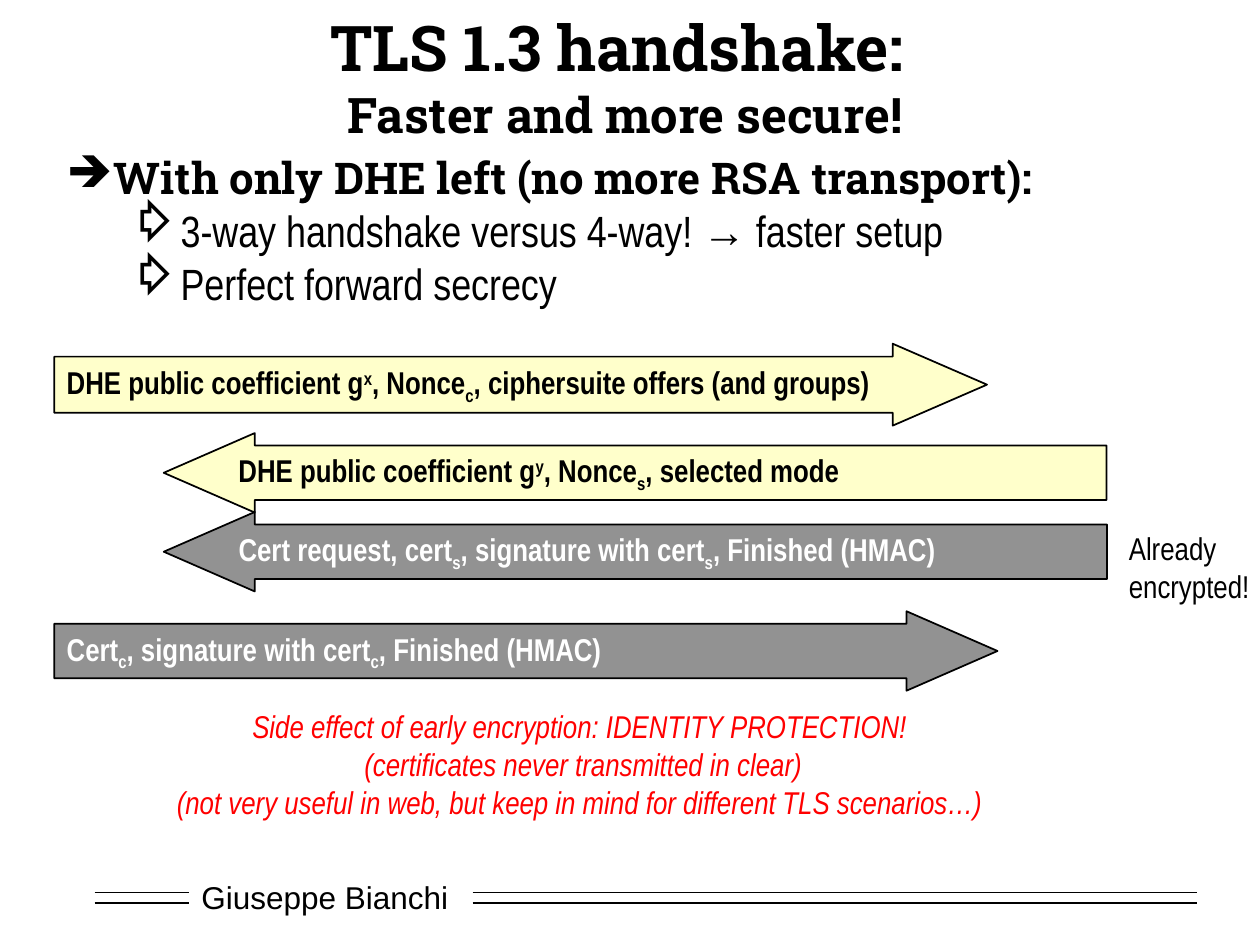
from lxml import etree
from pptx import Presentation
from pptx import util as u
from pptx.dml.color import RGBColor
from pptx.enum import shapes, text
from pptx.oxml import ns

Pt = u.Pt
SLAB, NARROW = "Roboto Slab", "Arial Narrow"
SUPER, SUB = 30000, -25000


def colour(code):
    return RGBColor.from_string(code)


def add_xml(parent, tag, **attributes):
    return etree.SubElement(parent, ns.qn(tag), attributes)


class Sheet:
    """Holds the default text style and the page being built."""

    def __init__(self, page, font=NARROW, size=18, ink="000000"):
        self.page, self.font, self.size, self.ink = page, font, size, ink

    def span(self, para, words, font=None, size=None, ink=None,
             bold=False, italic=False, baseline=0):
        span = para.add_run()
        span.text = words
        span.font.name = font or self.font
        span.font.size = Pt(size or self.size)
        span.font.color.rgb = colour(ink or self.ink)
        span.font.bold, span.font.italic = bold, italic
        if baseline:
            span.font._element.set("baseline", str(baseline))

    def frame(self, shape, wrap, middle):
        frame = shape.text_frame
        frame.word_wrap = wrap
        frame.vertical_anchor = text.MSO_ANCHOR.MIDDLE if middle else text.MSO_ANCHOR.TOP
        return frame

    def box(self, left, top, width, height, wrap=True, middle=False):
        box = self.page.shapes.add_textbox(Pt(left), Pt(top), Pt(width), Pt(height))
        return self.frame(box, wrap, middle)

    def lines(self, frame, lines, align=text.PP_ALIGN.LEFT, **style):
        for index, words in enumerate(lines):
            para = frame.add_paragraph() if index else frame.paragraphs[0]
            para.alignment = align
            self.span(para, words, **style)

    def bullet(self, para, mark, margin, hanging, before=0):
        props = para._p.get_or_add_pPr()
        props.set("marL", str(Pt(margin)))
        props.set("indent", str(-Pt(hanging)))
        add_xml(add_xml(props, "a:buClr"), "a:srgbClr", val=self.ink)
        add_xml(props, "a:buChar", char=mark)
        para.line_spacing = 0.8
        para.space_before = Pt(before)

    def rule(self, start, end, y):
        line = self.page.shapes.add_connector(
            shapes.MSO_CONNECTOR.STRAIGHT, Pt(start), Pt(y), Pt(end), Pt(y))
        line.line.color.rgb = colour(self.ink)
        line.line.width = Pt(1)
        add_xml(line._element.spPr, "a:effectLst")

    def arrow(self, left, top, width, height, fill, ink, parts, to_left=False, head=1.145):
        """Block arrow with a half-transparent fill; parts are (words, baseline) pairs."""
        arrow = self.page.shapes.add_shape(
            shapes.MSO_SHAPE.RIGHT_ARROW, Pt(left), Pt(top), Pt(width), Pt(height))
        arrow.adjustments[0], arrow.adjustments[1] = 0.685, head
        arrow.shadow.inherit = False
        arrow.fill.solid()
        arrow.fill.fore_color.rgb = colour(fill)
        add_xml(arrow._element.spPr.find(".//" + ns.qn("a:srgbClr")), "a:alpha", val="50000")
        arrow.line.color.rgb = colour(self.ink)
        arrow.line.width = Pt(1)
        if to_left:
            arrow._element.spPr.xfrm.set("flipH", "1")
        para = self.frame(arrow, False, True).paragraphs[0]
        para.alignment = text.PP_ALIGN.LEFT
        for words, baseline in parts:
            self.span(para, words, ink=ink, bold=True, baseline=baseline)


def main():
    deck = Presentation()
    deck.slide_width, deck.slide_height = Pt(720), Pt(540)
    sheet = Sheet(deck.slides.add_slide(deck.slide_layouts[6]))
    centre = text.PP_ALIGN.CENTER

    footer = sheet.box(108, 498.2, 156, 28.8, middle=True)
    sheet.lines(footer, ["Giuseppe Bianchi"], font="Arial")
    for y in (510, 516):
        sheet.rule(54, 108, y)
        sheet.rule(270, 684, y)

    title = sheet.box(54, 18, 606, 51, middle=True).paragraphs[0]
    title.alignment = centre
    sheet.span(title, "TLS 1.3 handshake: ", SLAB, 36, bold=True)
    title.add_line_break()
    sheet.span(title, "Faster and more secure!", SLAB, 28, bold=True)

    points = sheet.box(31, 88.5, 663, 96.5)
    para = points.paragraphs[0]
    sheet.bullet(para, "➔", 27, 27)
    sheet.span(para, "With only DHE left (no more RSA transport):", SLAB, 25, bold=True)
    details = [
        [("3-way handshake versus 4-way! ", NARROW), ("→", "Arial"), (" faster setup", NARROW)],
        [("Perfect forward secrecy", NARROW)],
    ]
    for parts in details:
        para = points.add_paragraph()
        para.level = 1
        sheet.bullet(para, "⇨", 58.5, 22.5, before=6.2)
        for words, font in parts:
            sheet.span(para, words, font, 25)

    clear, encrypted = ("FFFF99", "000000"), ("262626", "FFFFFF")
    sheet.arrow(93.6, 247.5, 538.8, 45.4, *clear, [
        ("DHE public coefficient g", 0), ("y", SUPER), (", Nonce", 0), ("s", SUB),
        (", selected mode", 0)], to_left=True)
    sheet.arrow(31, 196.4, 533, 46.8, *clear, [
        ("DHE public coefficient g", 0), ("x", SUPER), (", Nonce", 0), ("c", SUB),
        (", ciphersuite offers (and groups)", 0)], head=1.151)
    sheet.arrow(93.6, 292.6, 539, 45.4, *encrypted, [
        ("Cert request, cert", 0), ("s", SUB), (", signature with cert", 0), ("s", SUB),
        (", Finished (HMAC)", 0)], to_left=True)
    sheet.arrow(31, 349.3, 539, 45.4, *encrypted, [
        ("Cert", 0), ("c", SUB), (", signature with cert", 0), ("c", SUB),
        (", Finished (HMAC)", 0)])

    sheet.lines(sheet.box(638, 299, 83.5, 50.4, wrap=False), ["Already", "encrypted!"])
    sheet.lines(sheet.box(93.6, 400.5, 479.5, 72, wrap=False), [
        "Side effect of early encryption: IDENTITY PROTECTION! ",
        "(certificates never transmitted in clear)",
        "(not very useful in web, but keep in mind for different TLS scenarios…) ",
    ], centre, ink="FF0000", italic=True)

    deck.save("out.pptx")


if __name__ == "__main__":
    main()
